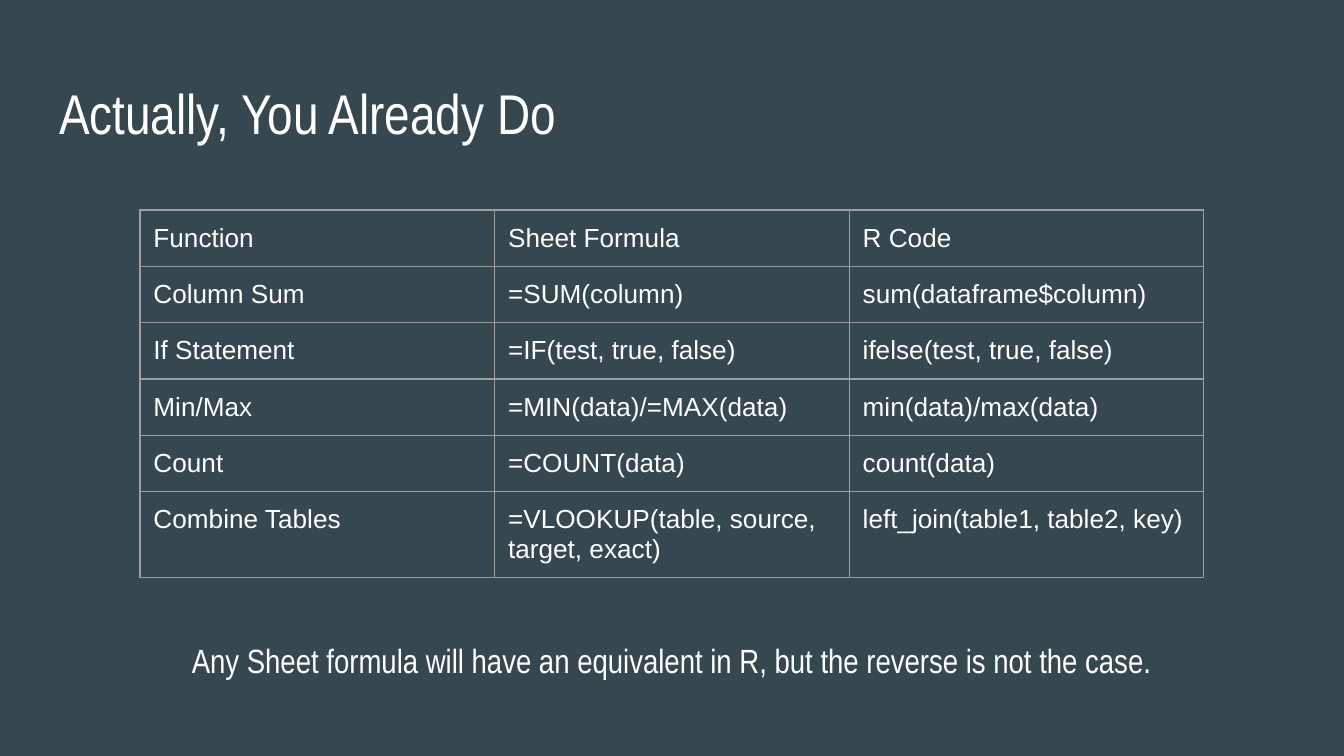
"""Build a slide that matches spreadsheet formulas with R code."""
import pptx
import pptx.dml.color
import pptx.enum.text
import pptx.oxml
import pptx.oxml.ns
import pptx.util

Pt = pptx.util.Pt
hues = {"back": "37474F", "text": "FFFFFF", "line": "9E9E9E"}
rows = [
    ("Function", "Sheet Formula", "R Code"),
    ("Column Sum", "=SUM(column)", "sum(dataframe$column)"),
    ("If Statement", "=IF(test, true, false)", "ifelse(test, true, false)"),
    ("Min/Max", "=MIN(data)/=MAX(data)", "min(data)/max(data)"),
    ("Count", "=COUNT(data)", "count(data)"),
    ("Combine Tables", "=VLOOKUP(table, source, target, exact)", "left_join(table1, table2, key)"),
]


def write(frame, text, face, size, align):
    frame.text = text
    frame.word_wrap = True
    frame.vertical_anchor = pptx.enum.text.MSO_ANCHOR.TOP
    frame.margin_left = frame.margin_right = Pt(7.2)
    frame.margin_top = frame.margin_bottom = Pt(7.2)
    style(frame.paragraphs[0], face, size, align)


def style(para, face, size, align):
    para.alignment = align
    font = para.runs[0].font
    font.name, font.size = face, Pt(size)
    font.color.rgb = pptx.dml.color.RGBColor.from_string(hues["text"])


left = pptx.enum.text.PP_ALIGN.LEFT
center = pptx.enum.text.PP_ALIGN.CENTER

deck = pptx.Presentation()
deck.slide_width, deck.slide_height = Pt(720), Pt(405)
slide = deck.slides.add_slide(deck.slide_layouts[5])
fill = slide.background.fill
fill.solid()
fill.fore_color.rgb = pptx.dml.color.RGBColor.from_string(hues["back"])

title = slide.shapes.title
title.left, title.top, title.width, title.height = Pt(24.5), Pt(35), Pt(671), Pt(45)
write(title.text_frame, "Actually, You Already Do", "Arial Narrow", 30, left)
title.text_frame.auto_size = pptx.enum.text.MSO_AUTO_SIZE.NONE

table = slide.shapes.add_table(len(rows), 3, Pt(75), Pt(112.5), Pt(570), Pt(180)).table
table.first_row = table.horz_banding = False
for row, texts in zip(table.rows, rows):
    row.height = Pt(30)
    for cell, text in zip(row.cells, texts):
        cell.margin_left = cell.margin_right = Pt(7.2)
        cell.margin_top = cell.margin_bottom = Pt(7.2)
        cell.text_frame.text = text
        style(cell.text_frame.paragraphs[0], "Arial", 14, left)
        props = cell._tc.get_or_add_tcPr()
        for side in ("lnL", "lnR", "lnT", "lnB"):
            props.append(pptx.oxml.parse_xml(
                f'<a:{side} {pptx.oxml.ns.nsdecls("a")} w="{Pt(0.75)}"><a:solidFill>'
                f'<a:srgbClr val="{hues["line"]}"/></a:solidFill></a:{side}>'))
        cell.fill.background()

note = slide.shapes.add_textbox(Pt(75), Pt(335.5), Pt(570), Pt(37.5))
write(note.text_frame, "Any Sheet formula will have an equivalent in R, but the reverse is not the case.",
      "Arial Narrow", 18, center)

deck.save("out.pptx")
